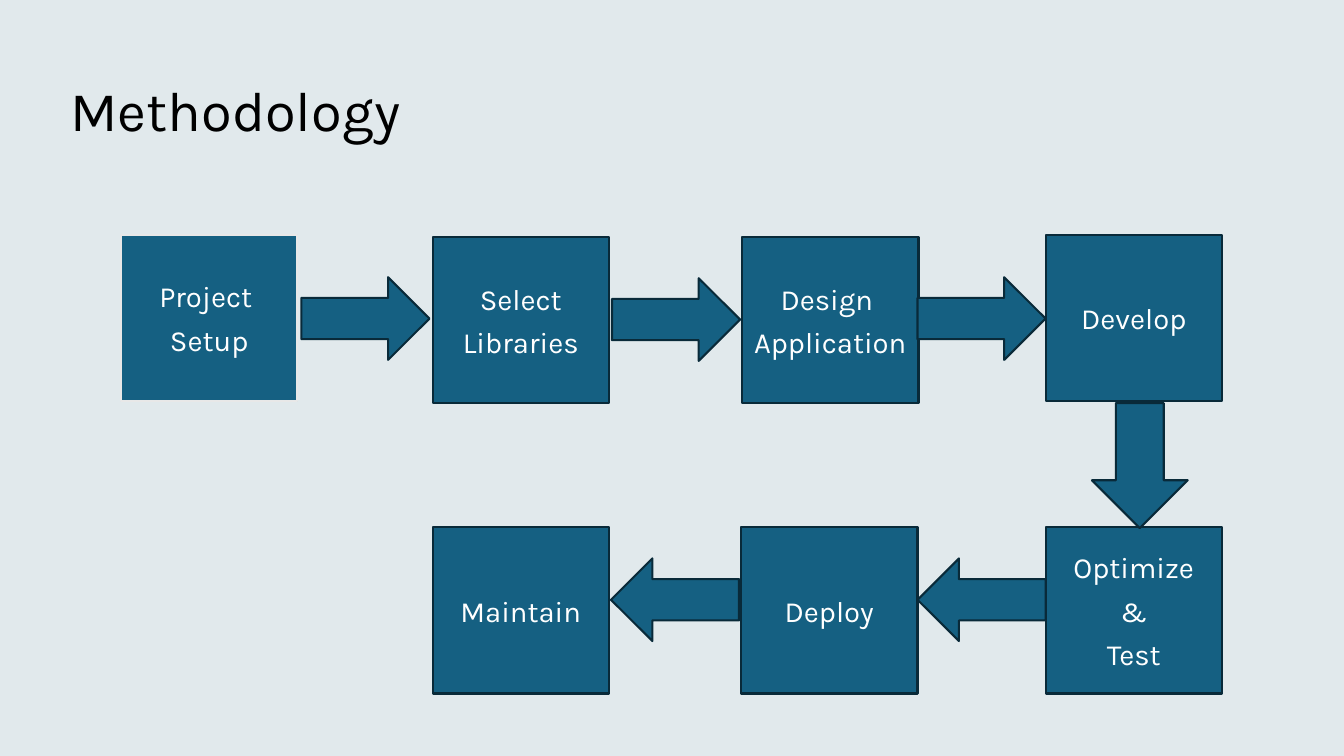
import pptx
import pptx.util
import pptx.dml.color
import pptx.enum.shapes
import pptx.enum.text
import pptx.oxml
import pptx.oxml.ns

Inches = pptx.util.Inches
Pt = pptx.util.Pt
KIND = pptx.enum.shapes.MSO_SHAPE
ALIGN = pptx.enum.text.PP_ALIGN
MIDDLE = pptx.enum.text.MSO_ANCHOR.MIDDLE

FONT = "Karla"
COLORS = {
    "base": "F2F2F2",
    "tint": "0B76A0",
    "fill": "156082",
    "edge": "092A39",
    "pale": "E8E8E8",
    "text": "FFFFFF",
    "title": "000000",
}


def color(name):
    return pptx.dml.color.RGBColor.from_string(COLORS[name])


def draw(shapes, kind, box, fill, edge=None):
    shape = shapes.add_shape(kind, *[Inches(n) for n in box])
    shape.shadow.inherit = False
    shape.fill.solid()
    shape.fill.fore_color.rgb = color(fill)
    if edge:
        shape.line.color.rgb = color(edge)
        shape.line.width = Pt(1.5)
    else:
        shape.line.fill.background()
    return shape


deck = pptx.Presentation()
deck.slide_width = Inches(13.33)
deck.slide_height = Inches(7.5)
slide = deck.slides.add_slide(deck.slide_layouts[5])

# Backdrop: grey base under a thin blue tint, sent behind the title
group = slide.shapes.add_group_shape()
page = (0, 0, 13.33, 7.5)
draw(group.shapes, KIND.RECTANGLE, page, "base")
tint = draw(group.shapes, KIND.RECTANGLE, page, "tint")
paint = tint.fill._xPr.find(".//" + pptx.oxml.ns.qn("a:srgbClr"))
alpha = pptx.oxml.parse_xml(
    '<a:alpha xmlns:a="http://schemas.openxmlformats.org/drawingml/2006/main" val="7000"/>')
paint.append(alpha)
slide.shapes._spTree.insert(2, group._element)

# Title
title = slide.shapes.title
title.left, title.top = Inches(0.6), Inches(0.4)
title.width, title.height = Inches(12.13), Inches(1.45)
frame = title.text_frame
frame.text = "Methodology"
frame.vertical_anchor = MIDDLE
head = frame.paragraphs[0]
head.alignment = ALIGN.LEFT
head.line_spacing = 0.9
font = head.runs[0].font
font.name, font.size = FONT, Pt(40)
font.color.rgb = color("title")

# Steps: label, left, top, edge
steps = [
    ("Project \nSetup", 1.2, 2.33, "pale"),
    ("Select\nLibraries", 4.29, 2.35, "edge"),
    ("Design \nApplication", 7.36, 2.35, "edge"),
    ("Develop", 10.37, 2.33, "edge"),
    ("Optimize\n&\nTest", 10.37, 5.23, "edge"),
    ("Deploy", 7.35, 5.23, "edge"),
    ("Maintain", 4.29, 5.23, "edge"),
]
for label, left, top, edge in steps:
    step = draw(slide.shapes, KIND.RECTANGLE, (left, top, 1.75, 1.65), "fill", edge)
    frame = step.text_frame
    frame.word_wrap = True
    frame.vertical_anchor = MIDDLE
    frame.margin_left = frame.margin_right = Inches(0.05)
    frame.text = label
    for para in frame.paragraphs:
        para.alignment = ALIGN.CENTER
        para.space_after = Pt(6)
        font = para.runs[0].font
        font.name, font.size = FONT, Pt(20.9)
        font.color.rgb = color("text")

# Arrows along the rows: left, top, turn
flows = [(2.99, 2.75, 0), (6.07, 2.76, 0), (9.1, 2.75, 0),
         (9.1, 5.54, 180), (6.06, 5.54, 180)]
for left, top, turn in flows:
    flow = draw(slide.shapes, KIND.RIGHT_ARROW, (left, top, 1.27, 0.82), "fill", "edge")
    flow.rotation = turn

# Arrow from the upper row to the lower row
draw(slide.shapes, KIND.DOWN_ARROW, (10.83, 4, 0.95, 1.24), "fill", "edge")

deck.save("out.pptx")
